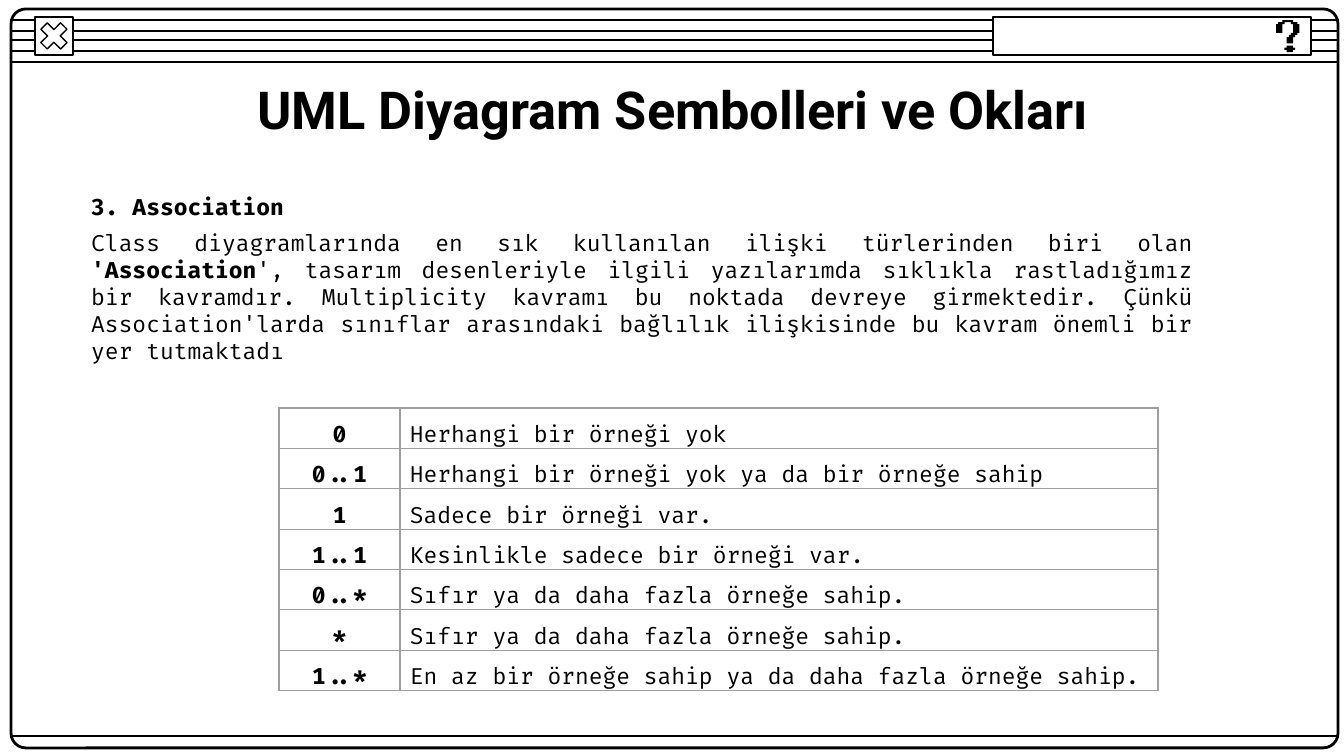
"""Build a slide on UML association multiplicities inside a retro window frame."""
from dataclasses import dataclass

import lxml.etree
import pptx
import pptx.dml.color
import pptx.enum.shapes
import pptx.enum.text
import pptx.oxml
import pptx.oxml.ns
import pptx.util

EMU_PER_PX = 914400 / 134.4
COLORS = {"ink": "000000", "paper": "FFFFFF", "grid": "9E9E9E"}
CODE_FONT = "Fira Code"
TITLE_FONT = "Roboto"
SHAPES = pptx.enum.shapes.MSO_SHAPE
ALIGN = pptx.enum.text.PP_ALIGN


@dataclass(frozen=True)
class Box:
    left: int
    top: int
    width: int
    height: int

    def emu(self) -> tuple:
        return tuple(px(v) for v in (self.left, self.top, self.width, self.height))


@dataclass(frozen=True)
class Run:
    text: str
    bold: bool = False


@dataclass(frozen=True)
class Multiplicity:
    symbol: str
    meaning: str


FRAME = Box(11, 9, 1327, 739)
CLOSE_BUTTON = Box(35, 17, 38, 38)
SEARCH_BAR = Box(993, 17, 318, 38)
TITLE_BAR_RULES = (40, 31, 20, 62, 51)
FOOTER_RULE = 736
MARK_ORIGIN = (1276, 20)
MARK_HEIGHT, MARK_ROWS = 32, 15
MARK_DOT = [(5, 12), (5, 13), (4, 13), (4, 14), (5, 14), (5, 15),
            (8, 15), (8, 14), (9, 14), (9, 13), (8, 13), (8, 12)]
MARK_HOOK = [(3, 0), (3, 1), (1, 1), (1, 2), (0, 2), (0, 6), (3, 6), (3, 2),
             (4, 2), (4, 1), (7, 1), (7, 2), (8, 2), (8, 6), (7, 6), (7, 7),
             (6, 7), (6, 8), (5, 8), (5, 11), (8, 11), (8, 8), (9, 8), (9, 7),
             (10, 7), (10, 6), (11, 6), (11, 2), (10, 2), (10, 1), (8, 1), (8, 0)]

EXPLANATION = [
    Run("Class diyagramlarında en sık kullanılan ilişki türlerinden biri olan "),
    Run("'Association", True),
    Run("', tasarım desenleriyle ilgili yazılarımda sıklıkla rastladığımız bir kavramdır. "
        "Multiplicity kavramı bu noktada devreye girmektedir. Çünkü Association'larda "
        "sınıflar arasındaki bağlılık ilişkisinde bu kavram önemli bir yer tutmaktadı"),
]
MULTIPLICITIES = [
    Multiplicity("0", "Herhangi bir örneği yok"),
    Multiplicity("0..1", "Herhangi bir örneği yok ya da bir örneğe sahip"),
    Multiplicity("1", "Sadece bir örneği var."),
    Multiplicity("1..1", "Kesinlikle sadece bir örneği var."),
    Multiplicity("0..*", "Sıfır ya da daha fazla örneğe sahip."),
    Multiplicity("*", "Sıfır ya da daha fazla örneğe sahip."),
    Multiplicity("1..*", "En az bir örneğe sahip ya da daha fazla örneğe sahip."),
]


def px(length: float) -> int:
    return round(length * EMU_PER_PX)


def rgb(name: str) -> pptx.dml.color.RGBColor:
    return pptx.dml.color.RGBColor.from_string(COLORS[name])


def write(paragraph, runs: list, align, size: int = 12, font: str = CODE_FONT,
          spaced: bool = False) -> None:
    paragraph.alignment = align
    if spaced:
        paragraph.line_spacing = 1.5
        paragraph.space_after = pptx.util.Pt(8)
    for part in runs:
        run = paragraph.add_run()
        run.text = part.text
        run.font.name = font
        run.font.size = pptx.util.Pt(size)
        run.font.bold = part.bold
        run.font.color.rgb = rgb("ink")


def draw_rule(slide, y: int) -> None:
    rule = slide.shapes.add_connector(
        pptx.enum.shapes.MSO_CONNECTOR.STRAIGHT,
        px(FRAME.left), px(y), px(FRAME.left + FRAME.width), px(y))
    rule.line.color.rgb = rgb("ink")
    rule.line.width = pptx.util.Pt(0.75)
    lxml.etree.SubElement(rule._element.spPr, pptx.oxml.ns.qn("a:effectLst"))


def draw_panel(slide, kind, box: Box, weight: float = 0.75, filled: bool = True,
               adjustment: float | None = None) -> None:
    panel = slide.shapes.add_shape(kind, *box.emu())
    panel.shadow.inherit = False
    panel.line.color.rgb = rgb("ink")
    panel.line.width = pptx.util.Pt(weight)
    if filled:
        panel.fill.solid()
        panel.fill.fore_color.rgb = rgb("paper")
    else:
        panel.fill.background()
    if adjustment is not None:
        panel.adjustments[0] = adjustment


def draw_mark_part(slide, corners: list) -> None:
    builder = slide.shapes.build_freeform(*corners[0], scale=px(MARK_HEIGHT) / MARK_ROWS)
    builder.add_line_segments(corners[1:], close=True)
    part = builder.convert_to_shape(*(px(v) for v in MARK_ORIGIN))
    part.shadow.inherit = False
    part.fill.solid()
    part.fill.fore_color.rgb = rgb("ink")
    part.line.fill.background()


def draw_window(slide) -> None:
    for y in TITLE_BAR_RULES:
        draw_rule(slide, y)
    draw_panel(slide, SHAPES.ROUNDED_RECTANGLE, FRAME, 1.5, False, 0.02)
    draw_panel(slide, SHAPES.RECTANGLE, CLOSE_BUTTON)
    draw_panel(slide, SHAPES.MATH_MULTIPLY, CLOSE_BUTTON, adjustment=0.235)
    draw_rule(slide, FOOTER_RULE)
    draw_panel(slide, SHAPES.RECTANGLE, SEARCH_BAR)
    for corners in (MARK_DOT, MARK_HOOK):
        draw_mark_part(slide, corners)


def draw_title(slide, text: str, box: Box) -> None:
    title = slide.shapes.title
    title.left, title.top, title.width, title.height = box.emu()
    frame = title.text_frame
    frame.word_wrap = True
    frame.auto_size = pptx.enum.text.MSO_AUTO_SIZE.NONE
    frame.vertical_anchor = pptx.enum.text.MSO_ANCHOR.MIDDLE
    write(frame.paragraphs[0], [Run(text, True)], ALIGN.CENTER, 28, TITLE_FONT)


def draw_text(slide, runs: list, box: Box, spaced: bool = False) -> None:
    frame = slide.shapes.add_textbox(*box.emu()).text_frame
    frame.word_wrap = True
    frame.auto_size = pptx.enum.text.MSO_AUTO_SIZE.SHAPE_TO_FIT_TEXT
    write(frame.paragraphs[0], runs, ALIGN.JUSTIFY, spaced=spaced)


def format_cell(cell, run: Run, align) -> None:
    cell.margin_left = cell.margin_right = px(10)
    cell.margin_top = cell.margin_bottom = 0
    cell.fill.background()
    properties = cell._tc.get_or_add_tcPr()
    for index, side in enumerate(("lnL", "lnR", "lnT", "lnB")):
        properties.insert(index, pptx.oxml.parse_xml(
            f'<a:{side} {pptx.oxml.ns.nsdecls("a")} w="{pptx.util.Pt(0.75)}"><a:solidFill>'
            f'<a:srgbClr val="{COLORS["grid"]}"/></a:solidFill></a:{side}>'))
    write(cell.text_frame.paragraphs[0], [run], align, spaced=True)


def draw_table(slide, rows: list, left: int, top: int, widths: tuple, row_height: int) -> None:
    box = Box(left, top, sum(widths), row_height * len(rows))
    table = slide.shapes.add_table(len(rows), len(widths), *box.emu()).table
    table.first_row = table.horz_banding = False
    for column, width in zip(table.columns, widths):
        column.width = px(width)
    for index, entry in enumerate(rows):
        format_cell(table.cell(index, 0), Run(entry.symbol, True), ALIGN.CENTER)
        format_cell(table.cell(index, 1), Run(entry.meaning), ALIGN.JUSTIFY)


def main() -> None:
    deck = pptx.Presentation()
    deck.slide_width, deck.slide_height = px(1344), px(756)
    slide = deck.slides.add_slide(deck.slide_layouts.get_by_name("Title Only"))
    slide.background.fill.solid()
    slide.background.fill.fore_color.rgb = rgb("paper")
    draw_window(slide)
    draw_title(slide, "UML Diyagram Sembolleri ve Okları", Box(106, 66, 1133, 85))
    draw_text(slide, [Run("3. Association", True)], Box(78, 173, 1241, 51), spaced=True)
    draw_text(slide, EXPLANATION, Box(78, 223, 1129, 149))
    draw_table(slide, MULTIPLICITIES, 279, 408, (121, 758), 40)
    deck.save("out.pptx")


if __name__ == "__main__":
    main()
